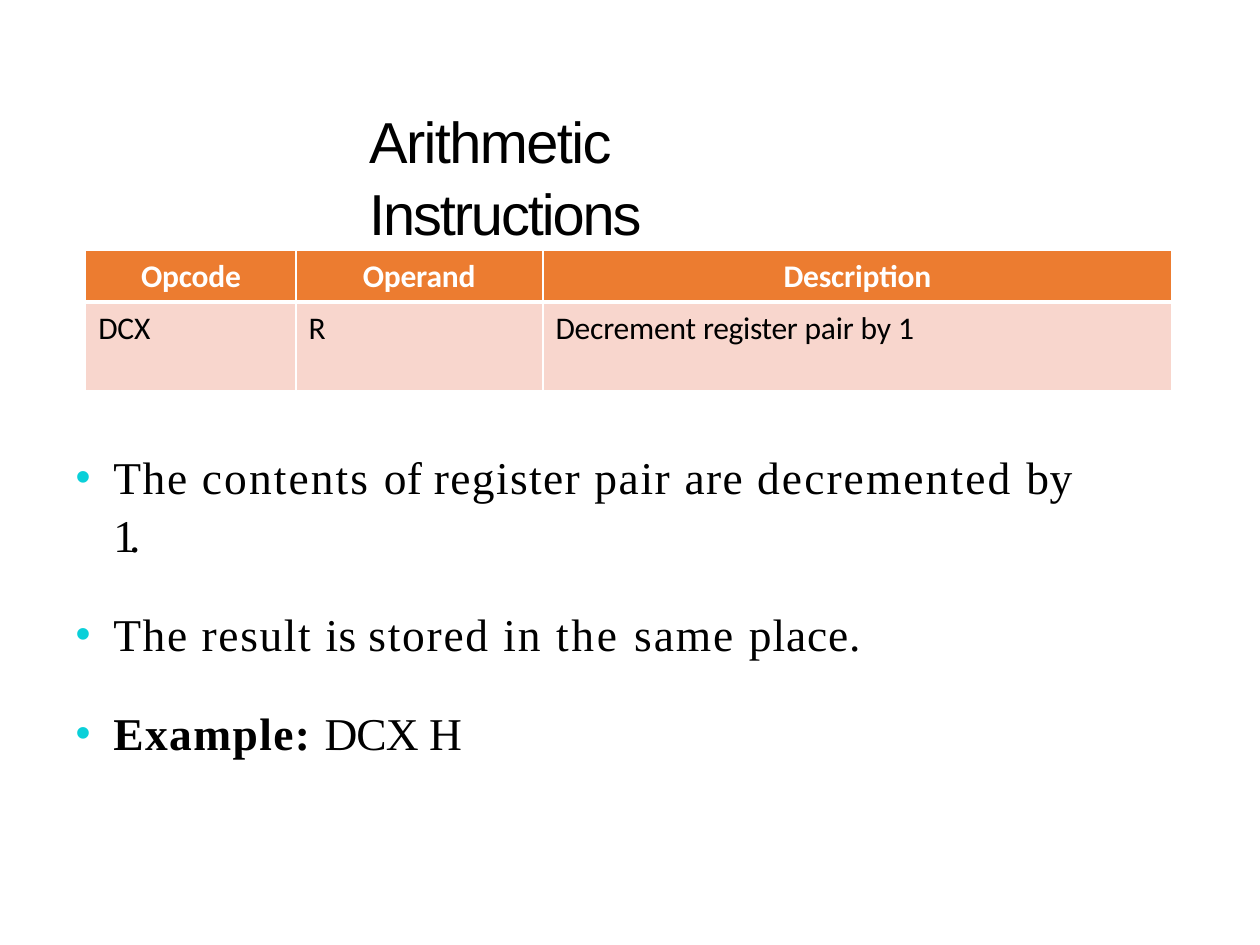
from lxml.etree import SubElement as Sub
from pptx import Presentation
from pptx.dml.color import RGBColor
from pptx.enum.text import PP_ALIGN as Align
from pptx.oxml.ns import qn
from pptx.util import Inches, Pt

WHITE, BLACK, ORANGE, PINK, CYAN = "FFFFFF", "000000", "EC7C30", "F8D6CD", "0AD0D9"


def rgb(value):
    return RGBColor.from_string(value)


def add_fill(parent, color):
    Sub(Sub(parent, qn("a:solidFill")), qn("a:srgbClr"), val=color)


class Deck:
    title_font, body_font, table_font = "Arial", "Times New Roman", "Calibri"
    title_size, body_size, table_size = 33, 26, 18

    def __init__(self):
        self.prs = Presentation()
        self.prs.slide_width, self.prs.slide_height = Inches(10), Inches(7.5)
        self.s = self.prs.slides.add_slide(self.prs.slide_layouts[6])

    def box(self, x, y, w, h):
        sw, sh = self.prs.slide_width, self.prs.slide_height
        return int(x * sw), int(y * sh), int(w * sw), int(h * sh)

    def runs(self, p, parts, font, size, color, bold=False):
        for text, spacing in parts:
            r = p.add_run()
            r.text = text
            r.font.name, r.font.size, r.font.bold = font, Pt(size), bold
            r.font.color.rgb = rgb(color)
            r.font._element.set("spc", str(round(spacing * 100)))

    def text_frame(self, area, top):
        tf = self.s.shapes.add_textbox(*self.box(*area)).text_frame
        tf.word_wrap = True
        tf.margin_left = tf.margin_bottom = 0
        tf.margin_top, tf.margin_right = Inches(top), Inches(0.1)
        return tf

    def title(self, area, parts):
        p = self.text_frame(area, 0.03).paragraphs[0]
        p.line_spacing = 1.05
        p._p.get_or_add_pPr().set("marL", str(Inches(0.01)))
        self.runs(p, parts, self.title_font, self.title_size, BLACK)

    def bullets(self, area, items):
        tf = self.text_frame(area, 0.02)
        for i, (lead, parts) in enumerate(items):
            p = tf.add_paragraph() if i else tf.paragraphs[0]
            pPr = p._p.get_or_add_pPr()
            pPr.set("marL", str(Inches(0.31)))
            pPr.set("indent", str(Inches(-0.3)))
            Sub(Sub(pPr, qn("a:buClr")), qn("a:srgbClr"), val=CYAN)
            Sub(pPr, qn("a:buSzPct"), val="94000")
            Sub(pPr, qn("a:buFont"), typeface=self.title_font)
            Sub(pPr, qn("a:buChar"), char="•")
            p.line_spacing = 1.05
            if i:
                p.space_before = Pt(24)
            self.runs(p, lead, self.body_font, self.body_size, BLACK, True)
            self.runs(p, parts, self.body_font, self.body_size, BLACK)

    def cell(self, cell, parts, header, indent):
        cell.margin_left = cell.margin_right = cell.margin_bottom = 0
        cell.margin_top = Inches(0.06)
        p = cell.text_frame.paragraphs[0]
        if indent is None:
            p.alignment = Align.CENTER
        else:
            p._p.get_or_add_pPr().set("marL", str(Inches(indent)))
        self.runs(p, parts, self.table_font, self.table_size, WHITE if header else BLACK, header)
        tcPr = cell._tc.get_or_add_tcPr()
        thick = "B" if header else "T"
        for side in "LRTB":
            ln = Sub(tcPr, qn(f"a:ln{side}"), w=str(Pt(3 if side == thick else 1)))
            add_fill(ln, WHITE)
        add_fill(tcPr, ORANGE if header else PINK)

    def table(self, area, cols, rows, data):
        table = self.s.shapes.add_table(len(rows), len(cols), *self.box(*area)).table
        for col, width in zip(table.columns, cols):
            col.width = Inches(width)
        for i, (row, height) in enumerate(zip(table.rows, rows)):
            row.height = Inches(height)
            for cell, (parts, indent) in zip(row.cells, data[i]):
                self.cell(cell, parts, i == 0, indent)


def main():
    deck = Deck()
    deck.title((0.292, 0.104, 0.417, 0.147), [("Arithmetic ", -0.9), ("Instructions", -1.2)])
    deck.table((0.068, 0.265, 0.865, 0.15), (1.67, 1.96, 4.99), (0.41, 0.7), [
        [([("Opcode", -0.1)], 0.44), ([("Operand", -0.1)], 0.53), ([("Description", -0.1)], None)],
        [([("DCX", -0.1)], 0.1), ([("R", 0)], 0.1),
         ([("Decrement ", -0.1), ("register ", -0.2), ("pair by ", -0.1), ("1", 0)], 0.1)],
    ])
    deck.bullets((0.059, 0.47, 0.81, 0.33), [
        ([], [("The ", 0.9), ("contents ", 1.2), ("of ", 0.1), ("register ", 0.8), ("pair ", 0.9),
              ("are ", 0.8), ("decremented ", 1.2), ("by ", 0.3), ("1.", -4)]),
        ([], [("The result ", 0.9), ("is ", 0.2), ("stored ", 1), ("in ", 1.1), ("the ", 1.6),
              ("same ", 1.1), ("place.", 0.5)]),
        ([("Example: ", 0.8)], [("DCX ", -0.6), ("H", 1.7)]),
    ])
    deck.prs.save("out.pptx")


if __name__ == "__main__":
    main()
